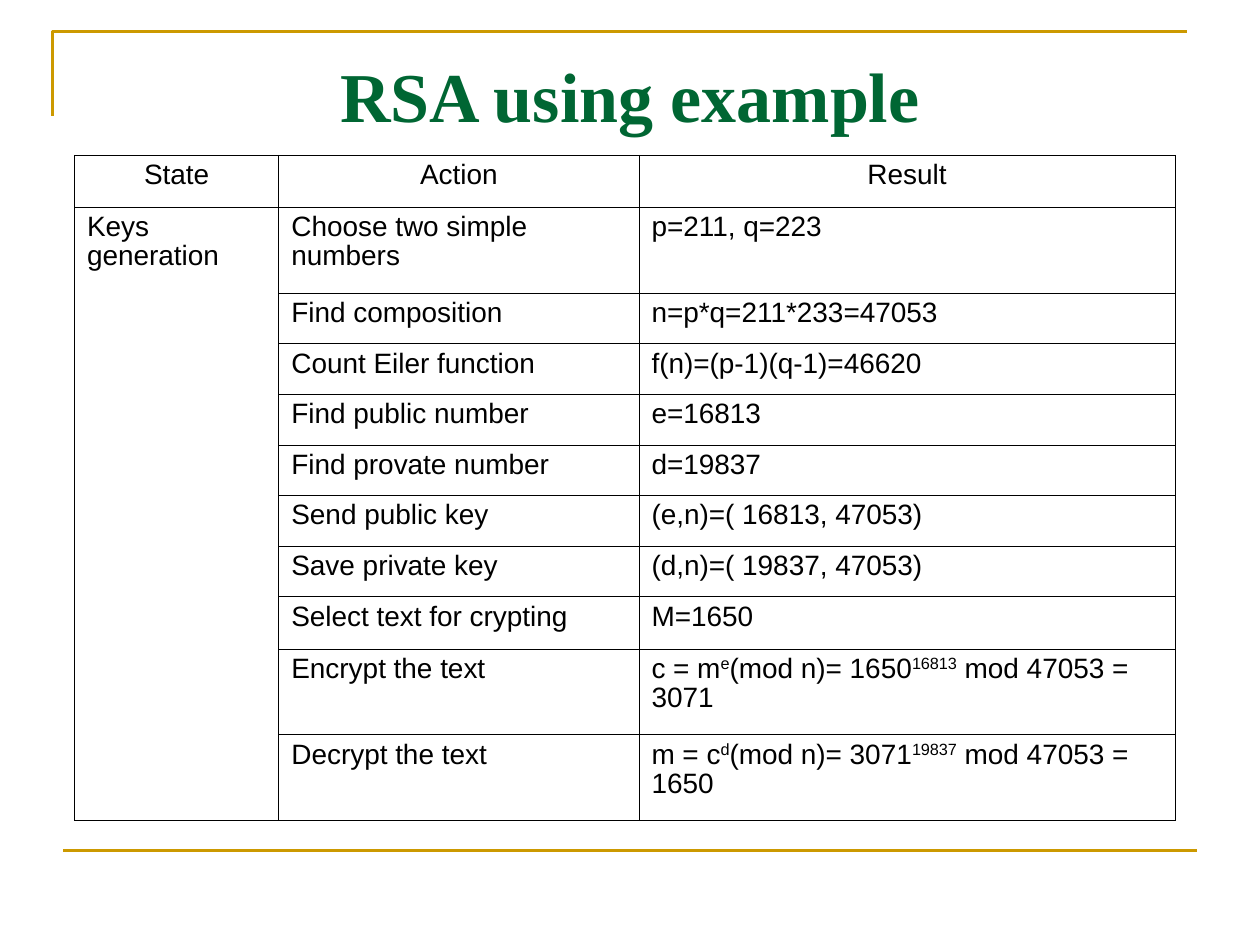
from lxml import etree
from pptx import Presentation
from pptx.dml.color import RGBColor
from pptx.enum.shapes import MSO_CONNECTOR
from pptx.enum.text import MSO_ANCHOR, MSO_AUTO_SIZE, PP_ALIGN
from pptx.oxml.ns import qn
from pptx.util import Cm, Pt

STRAIGHT = MSO_CONNECTOR.STRAIGHT
TOP = MSO_ANCHOR.TOP
NO_AUTOFIT = MSO_AUTO_SIZE.NONE
CENTER, LEFT = PP_ALIGN.CENTER, PP_ALIGN.LEFT

GOLD, GREEN, BLACK = "CC9900", "006633", "000000"
TITLE_ONLY = 5
COLUMN_WIDTHS = [4.12, 7.26, 10.81]
HEADER, PLAIN, TALL = 1.05, 1.02, 1.73

HEADINGS = ["State", "Action", "Result"]
STATE = "Keys generation"
STEPS = [
    ("Choose two simple numbers", ["p=211, q=223"], TALL),
    ("Find composition", ["n=p*q=211*233=47053"], PLAIN),
    ("Count Eiler function", ["f(n)=(p-1)(q-1)=46620"], PLAIN),
    ("Find public number", ["e=16813"], PLAIN),
    ("Find provate number", ["d=19837"], PLAIN),
    ("Send public key", ["(e,n)=( 16813, 47053)"], PLAIN),
    ("Save private key", ["(d,n)=( 19837, 47053)"], PLAIN),
    ("Select text for crypting", ["M=1650"], HEADER),
    ("Encrypt the text",
     ["c = m", "e", "(mod n)= 1650", "16813", " mod 47053 = 3071"], TALL),
    ("Decrypt the text",
     ["m = c", "d", "(mod n)= 3071", "19837", " mod 47053 = 1650"], TALL),
]


def color(value):
    return RGBColor.from_string(value)


def format_run(run, font_name, size, value, bold=False):
    run.font.name = font_name
    run.font.size = Pt(size)
    run.font.bold = bold
    run.font.color.rgb = color(value)


def format_line(shape):
    shape.line.color.rgb = color(GOLD)
    shape.line.width = Pt(1.5)


def add_corner(slide, left, top, width, height):
    builder = slide.shapes.build_freeform(Cm(left), Cm(top + height))
    builder.add_line_segments(
        [(Cm(left), Cm(top)), (Cm(left + width), Cm(top))], close=False)
    corner = builder.convert_to_shape()
    corner.shadow.inherit = False
    corner.fill.background()
    format_line(corner)


def add_rule(slide, left, top, width):
    rule = slide.shapes.add_connector(
        STRAIGHT, Cm(left), Cm(top), Cm(left + width), Cm(top))
    format_line(rule)
    etree.SubElement(rule._element.spPr, qn("a:effectLst"))


def place_title(slide, left, top, width, height):
    title = slide.shapes.title
    title.left, title.top = Cm(left), Cm(top)
    title.width, title.height = Cm(width), Cm(height)
    frame = title.text_frame
    frame.text = "RSA using example"
    frame.auto_size = NO_AUTOFIT
    frame.vertical_anchor = TOP
    frame.margin_top = Cm(0.3)
    paragraph = frame.paragraphs[0]
    paragraph.alignment = CENTER
    format_run(paragraph.runs[0], "Times New Roman", 40, GREEN, bold=True)


def set_borders(cell):
    properties = cell._tc.get_or_add_tcPr()
    for index, side in enumerate(["a:lnL", "a:lnR", "a:lnT", "a:lnB"]):
        border = etree.Element(qn(side), w=str(Pt(0.45)))
        fill = etree.SubElement(border, qn("a:solidFill"))
        etree.SubElement(fill, qn("a:srgbClr"), val=BLACK)
        properties.insert(index, border)


def fill_cell(cell, parts, alignment=LEFT):
    paragraph = cell.text_frame.paragraphs[0]
    paragraph.alignment = alignment
    paragraph.line_spacing = 0.93
    for index, part in enumerate(parts):
        run = paragraph.add_run()
        run.text = part
        format_run(run, "Arial", 16, BLACK)
        if index % 2:
            run.font._element.set("baseline", "30000")


def add_steps_table(slide, left, top):
    heights = [HEADER] + [height for _, _, height in STEPS]
    table = slide.shapes.add_table(
        len(heights), len(COLUMN_WIDTHS), Cm(left), Cm(top),
        Cm(sum(COLUMN_WIDTHS)), Cm(sum(heights))).table
    table.first_row = False
    table.horz_banding = False
    for column, width in zip(table.columns, COLUMN_WIDTHS):
        column.width = Cm(width)
    for row, height in zip(table.rows, heights):
        row.height = Cm(height)
    for cell in table.iter_cells():
        cell.fill.background()
        set_borders(cell)
    table.cell(1, 0).merge(table.cell(len(STEPS), 0))
    for index, heading in enumerate(HEADINGS):
        fill_cell(table.cell(0, index), [heading], CENTER)
    fill_cell(table.cell(1, 0), [STATE])
    for index, (action, result, _) in enumerate(STEPS, 1):
        fill_cell(table.cell(index, 1), [action])
        fill_cell(table.cell(index, 2), result)


def build_slide(presentation):
    slide = presentation.slides.add_slide(
        presentation.slide_layouts[TITLE_ONLY])
    add_corner(slide, 1.06, 0.63, 22.86, 1.7)
    add_rule(slide, 1.27, 17.15, 22.86)
    place_title(slide, 1.27, 0.76, 22.86, 3.18)
    add_steps_table(slide, 1.5, 3.13)


presentation = Presentation()
presentation.slide_width = Cm(25.4)
presentation.slide_height = Cm(19.05)
build_slide(presentation)
presentation.save("out.pptx")
